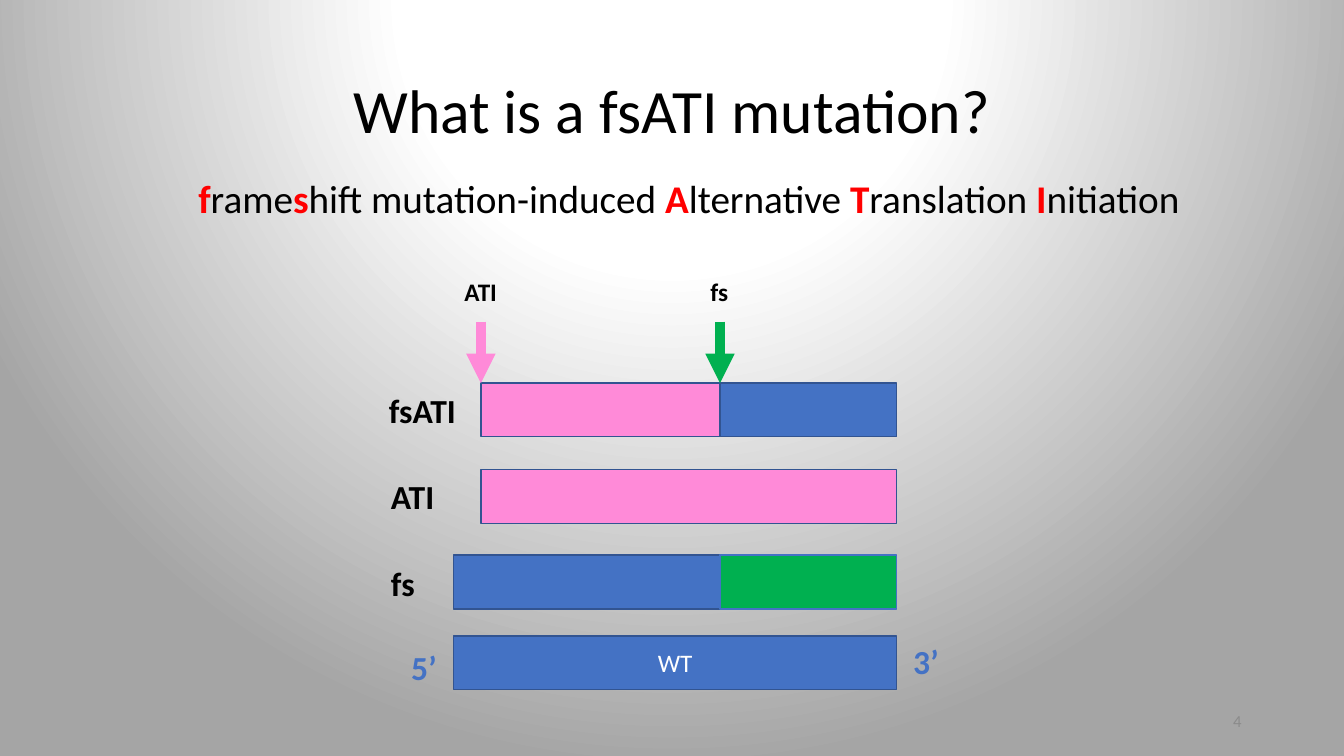
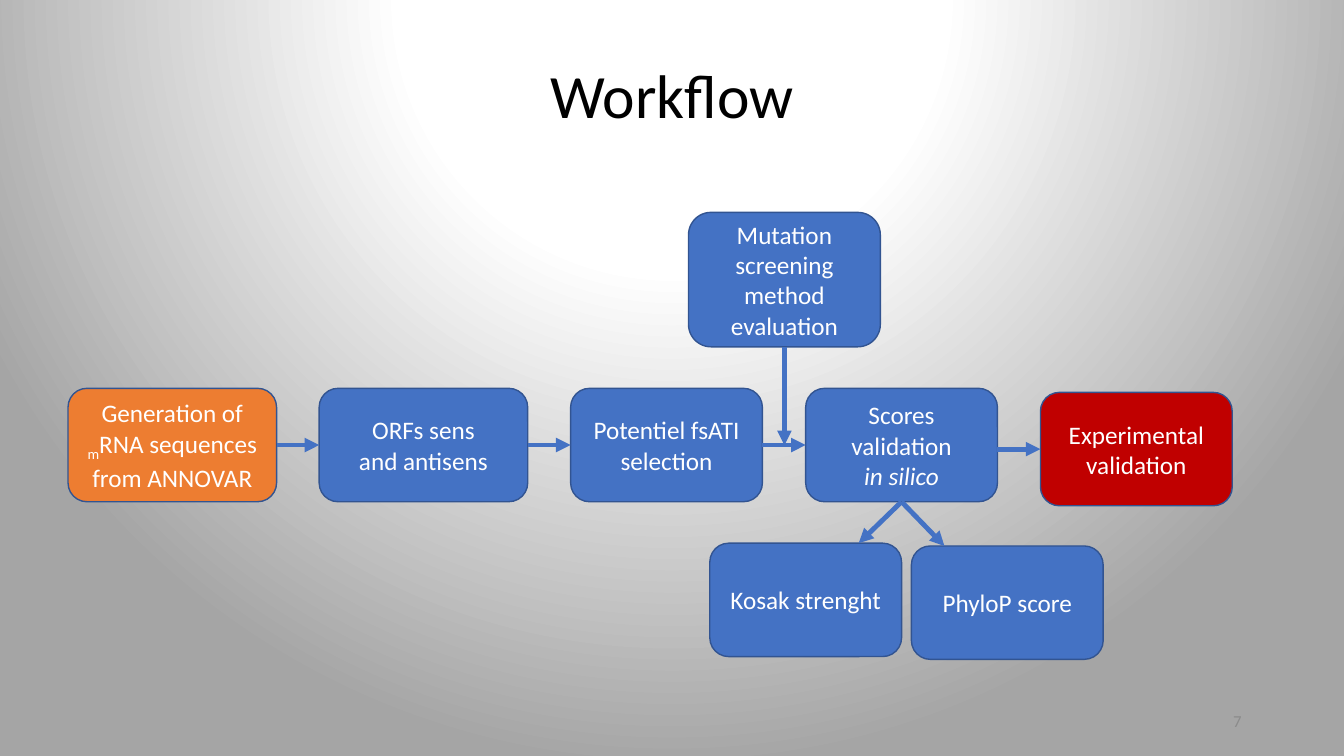
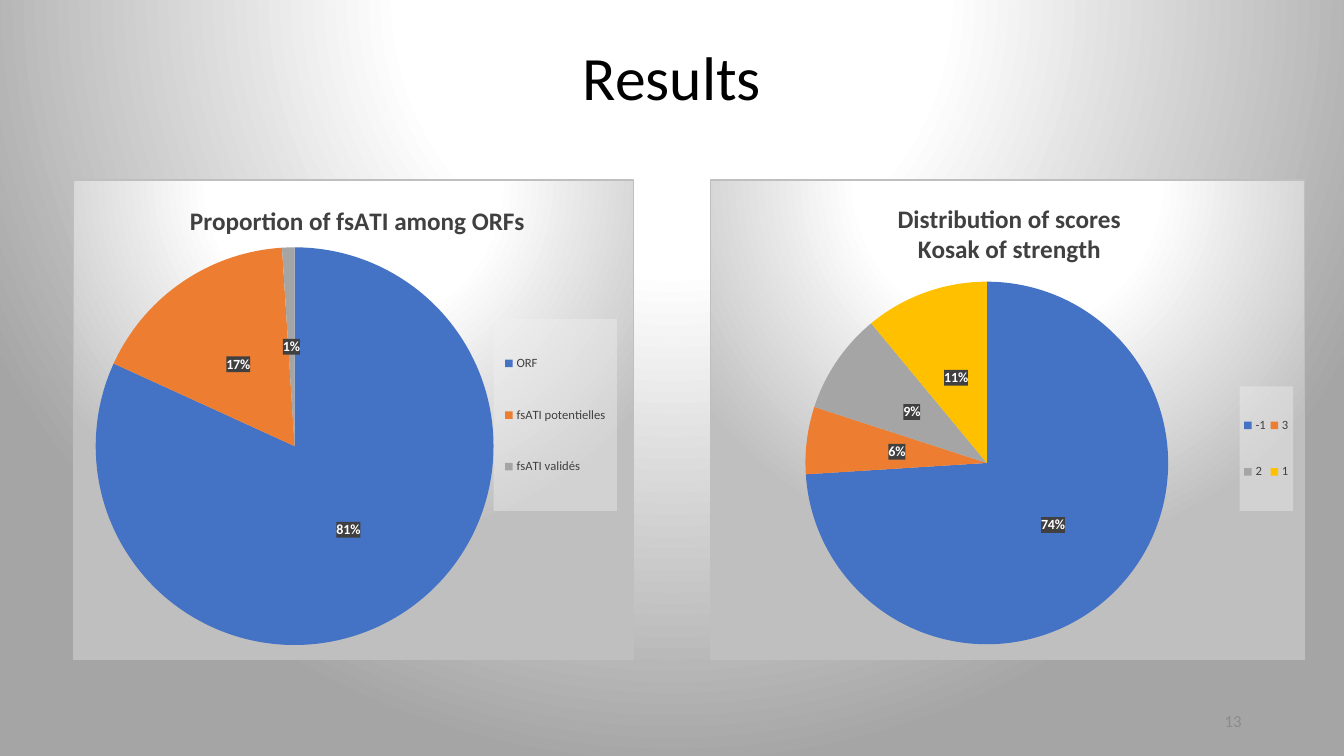
"""Build three slides on fsATI mutations: definition, workflow and results."""
from pptx import Presentation
from pptx.chart.data import CategoryChartData
from pptx.dml.color import RGBColor
from pptx.enum.chart import XL_CHART_TYPE, XL_LABEL_POSITION, XL_LEGEND_POSITION
from pptx.enum.shapes import MSO_CONNECTOR, MSO_SHAPE
from pptx.enum.text import MSO_ANCHOR, MSO_AUTO_SIZE, PP_ALIGN
from pptx.oxml import parse_xml
from pptx.oxml.ns import nsdecls, qn
from pptx.util import Pt

FONT = "Calibri"
BLACK = RGBColor(0x00, 0x00, 0x00)
WHITE = RGBColor(0xFF, 0xFF, 0xFF)
RED = RGBColor(0xFF, 0x00, 0x00)
DARK_RED = RGBColor(0xC0, 0x00, 0x00)
BLUE = RGBColor(0x44, 0x72, 0xC4)
NAVY = RGBColor(0x32, 0x54, 0x91)
PINK = RGBColor(0xFF, 0x8A, 0xD8)
GREEN = RGBColor(0x00, 0xB0, 0x50)
ORANGE = RGBColor(0xED, 0x7D, 0x31)
YELLOW = RGBColor(0xFF, 0xC0, 0x00)
GREY = RGBColor(0xA5, 0xA5, 0xA5)
PALE_GREY = RGBColor(0xF2, 0xF2, 0xF2)
SILVER = RGBColor(0xBF, 0xBF, 0xBF)
CHARCOAL = RGBColor(0x40, 0x40, 0x40)
NUMBER_GREY = RGBColor(0x8B, 0x8B, 0x8B)
SLICE_COLORS = (BLUE, ORANGE, GREY, YELLOW)


def points(*lengths):
    """Convert plain numbers to lengths in points."""
    return [Pt(length) for length in lengths]


def spotlight(white_until, edge):
    """Return a circular gradient from white to the edge colour."""
    return (
        f'<a:gradFill {nsdecls("a")} rotWithShape="1"><a:gsLst>'
        '<a:gs pos="0"><a:srgbClr val="FFFFFF"/></a:gs>'
        f'<a:gs pos="{white_until * 1000}"><a:srgbClr val="FFFFFF"/></a:gs>'
        f'<a:gs pos="100000"><a:srgbClr val="{edge}"/></a:gs></a:gsLst>'
        '<a:path path="circle">'
        '<a:fillToRect l="50000" t="-80000" r="50000" b="180000"/>'
        '</a:path></a:gradFill>'
    )


def set_background(master):
    """Give every slide the spotlight background."""
    master.background.fill.solid()
    properties = next(master.element.iter(qn("p:bgPr")))
    properties.replace(properties[0], parse_xml(spotlight(35, GREY)))


def style(paragraph, size, color, bold=False, align=None):
    """Set the font and alignment of a paragraph."""
    font = paragraph.font
    font.name, font.size, font.bold = FONT, Pt(size), bold
    font.color.rgb = color
    if align is not None:
        paragraph.alignment = align


def add_label(slide, text, left, top, width, height, size, color=BLACK, bold=True):
    """Add a one-line label and return its paragraph."""
    box = slide.shapes.add_textbox(*points(left, top, width, height))
    frame = box.text_frame
    frame.word_wrap = False
    frame.auto_size = MSO_AUTO_SIZE.SHAPE_TO_FIT_TEXT
    paragraph = frame.paragraphs[0]
    paragraph.text = text
    style(paragraph, size, color, bold)
    return paragraph


def add_titled_slide(deck, title, title_top, number):
    """Add a slide with its title and slide number."""
    slide = deck.slides.add_slide(deck.slide_layouts[5])
    heading = slide.shapes.title
    heading.left, heading.top, heading.width, heading.height = points(66, title_top, 828, 104.4)
    heading.text_frame.text = title
    heading.text_frame.vertical_anchor = MSO_ANCHOR.MIDDLE
    paragraph = heading.text_frame.paragraphs[0]
    style(paragraph, 44, BLACK, align=PP_ALIGN.CENTER)
    paragraph.line_spacing = 0.9
    footer = slide.shapes.add_textbox(*points(678, 500.5, 216, 28.8)).text_frame
    footer.word_wrap = True
    footer.vertical_anchor = MSO_ANCHOR.MIDDLE
    footer.text = str(number)
    style(footer.paragraphs[0], 12, NUMBER_GREY, align=PP_ALIGN.RIGHT)
    return slide


def add_block(slide, preset, left, top, width, height, fill, text="", outline=NAVY):
    """Add a filled, outlined block with centred white text."""
    block = slide.shapes.add_shape(preset, *points(left, top, width, height))
    block.shadow.inherit = False
    block.fill.solid()
    block.fill.fore_color.rgb = fill
    block.line.color.rgb = outline
    block.line.width = Pt(1)
    frame = block.text_frame
    frame.word_wrap = True
    frame.vertical_anchor = MSO_ANCHOR.MIDDLE
    frame.text = text
    for paragraph in frame.paragraphs:
        style(paragraph, 18, WHITE, align=PP_ALIGN.CENTER)
    return block


def add_arrow(slide, start, end, color=BLUE, width=3.5, source=None, target=None):
    """Add an arrow, joined to (shape, site) pairs where given."""
    arrow = slide.shapes.add_connector(MSO_CONNECTOR.STRAIGHT, *points(*start, *end))
    arrow.line.color.rgb = color
    arrow.line.width = Pt(width)
    if source:
        arrow.begin_connect(*source)
    if target:
        arrow.end_connect(*target)
    properties = arrow.element.spPr
    properties.find(qn("a:ln")).append(parse_xml(f'<a:tailEnd {nsdecls("a")} type="triangle"/>'))
    properties.append(parse_xml(f'<a:effectLst {nsdecls("a")}/>'))


def place(part, index, **fractions):
    """Fix a chart part at fractions of the chart area."""
    for layout in part.findall(qn("c:layout")):
        part.remove(layout)
    modes = "".join(f'<c:{axis}Mode val="edge"/>' for axis in "xy")
    values = "".join(f'<c:{key} val="{value}"/>' for key, value in fractions.items())
    target = '<c:layoutTarget val="inner"/>' if part.tag == qn("c:plotArea") else ""
    part.insert(index, parse_xml(
        f'<c:layout {nsdecls("c")}><c:manualLayout>{target}{modes}{values}'
        '</c:manualLayout></c:layout>'))


def tint(part, color, opacity):
    """Put a translucent fill behind a chart part."""
    part.find(qn("c:txPr")).addprevious(parse_xml(
        f'<c:spPr {nsdecls("c", "a")}><a:solidFill><a:srgbClr val="{color}">'
        f'<a:alpha val="{opacity * 1000}"/></a:srgbClr></a:solidFill></c:spPr>'))


def add_pie(slide, title, shares, left, width, title_at, pie_at, legend_at):
    """Add a pie of percentages on a spotlight panel."""
    data = CategoryChartData()
    data.categories = list(shares)
    data.add_series("Series 1", list(shares.values()))
    chart = slide.shapes.add_chart(
        XL_CHART_TYPE.PIE, *points(left, 128.2, width, 343.4), data).chart
    chart.font.name, chart.font.size = FONT, Pt(10)
    chart.font.color.rgb = BLACK

    chart.has_title = True
    chart.chart_title.text_frame.text = title
    for paragraph in chart.chart_title.text_frame.paragraphs:
        style(paragraph, 18, CHARCOAL, bold=True)

    chart.has_legend = True
    chart.legend.position = XL_LEGEND_POSITION.RIGHT
    chart.legend.include_in_layout = False
    chart.legend.font.name, chart.legend.font.size = FONT, Pt(9)
    chart.legend.font.color.rgb = CHARCOAL

    chart.plots[0].vary_by_categories = True
    series = chart.plots[0].series[0]
    for index, color in enumerate(SLICE_COLORS[:len(shares)]):
        fill = series.points[index].format.fill
        fill.solid()
        fill.fore_color.rgb = color
    labels = series.data_labels
    labels.show_value = True
    labels.number_format = '0"%"'
    labels.number_format_is_linked = False
    labels.position = XL_LABEL_POSITION.CENTER
    labels.font.name, labels.font.size, labels.font.bold = FONT, Pt(10), True
    labels.font.color.rgb = WHITE

    space = chart.element
    legend = next(space.iter(qn("c:legend")))
    place(next(space.iter(qn("c:title"))), 1, **title_at)
    place(next(space.iter(qn("c:plotArea"))), 0, **pie_at)
    place(legend, 1, **legend_at)
    tint(legend, PALE_GREY, 39)
    tint(next(space.iter(qn("c:dLbls"))), CHARCOAL, 90)
    space.find(qn("c:chart")).addnext(parse_xml(
        f'<c:spPr {nsdecls("c", "a")}>{spotlight(39, SILVER)}'
        f'<a:ln w="{Pt(0.75)}"><a:solidFill><a:srgbClr val="{SILVER}"/></a:solidFill></a:ln>'
        '</c:spPr>'))


def build_definition(deck):
    """Build the slide that defines the mutation."""
    slide = add_titled_slide(deck, "What is a fsATI mutation?", 29, 4)
    acronym = add_label(slide, "", 134.6, 121, 731.5, 41, 28, bold=False)
    for letter, rest in (("f", "rame"), ("s", "hift mutation-induced "), ("A", "lternative "),
                         ("T", "ranslation "), ("I", "nitiation")):
        initial = acronym.add_run()
        initial.text = letter
        initial.font.bold = True
        initial.font.color.rgb = RED
        acronym.add_run().text = rest

    start, ati, shift, end = 324, 343.5, 514.3, 640.5
    fsati_top, ati_top, fs_top, wt_top = 273.6, 335.4, 396.5, 454.2
    for left, right, top, fill, text, outline in (
            (start, shift, fs_top, BLUE, "", NAVY),
            (shift, end, fs_top, GREEN, "", BLUE),
            (ati, shift, fsati_top, PINK, "", NAVY),
            (shift, end, fsati_top, BLUE, "", NAVY),
            (ati, end, ati_top, PINK, "", NAVY),
            (start, end, wt_top, BLUE, "WT", NAVY)):
        add_block(slide, MSO_SHAPE.RECTANGLE, left, top, right - left, 38.4, fill, text, outline)
    for site, color in ((ati, PINK), (shift, GREEN)):
        add_arrow(slide, (site, 229.7), (site, fsati_top), color, 7)
    for text, left, width in (("ATI", 324.7, 38.2), ("fs", 500.4, 27.4)):
        add_label(slide, text, left, 193.7, width, 28.8, 18)
    for text, left, top, width, color in (
            ("fsATI", 270.7, 275, 62.6, BLACK), ("ATI", 272.2, 336.5, 45.4, BLACK),
            ("fs", 272.2, 398.9, 31.7, BLACK), ("5’", 286.6, 458.6, 33.1, BLUE),
            ("3’", 645.1, 454.3, 33.1, BLUE)):
        add_label(slide, text, left, top, width, 36, 24, color)


def build_workflow(deck):
    """Build the workflow diagram."""
    slide = add_titled_slide(deck, "Workflow", 18, 7)

    def add_step(text, left, top, width=137, height=81, fill=BLUE):
        return add_block(slide, MSO_SHAPE.ROUNDED_RECTANGLE, left, top, width, height, fill, text)

    row_top = 277.4
    generation = add_step("", 48.6, row_top, 149, fill=ORANGE)
    sequence = generation.text_frame.paragraphs[0]
    for part in ("Generation of ", "m", "RNA sequences from ANNOVAR"):
        sequence.add_run().text = part
    subscript = list(generation.element.iter(qn("a:r")))[1]
    subscript.get_or_add_rPr().set("baseline", "-25000")
    orfs = add_step("ORFs sens\nand antisens", 228, row_top, 149)
    selection = add_step("Potentiel fsATI selection", 407.6, row_top)
    scores = add_step("Scores validation\nin silico", 575.5, row_top)
    scores.text_frame.paragraphs[1].font.italic = True
    experiment = add_step("Experimental validation", 743.2, 280.3, fill=DARK_RED)
    screening = add_step("Mutation screening method evaluation", 491.8, 151.7, height=96)
    add_step("Kosak strenght", 507, 388)
    add_step("PhyloP score", 651, 390)

    origin = (0, 0)
    chain = (generation, orfs, selection, scores)
    for before, after in zip(chain, chain[1:]):
        add_arrow(slide, origin, origin, source=(before, 3), target=(after, 1))
    add_arrow(slide, (712.5, 320.8), origin, target=(experiment, 1))
    for source, end in ((scores, (613.4, 388)), (scores, (674.6, 390)), (screening, (560.3, 318))):
        add_arrow(slide, origin, end, source=(source, 2))


def build_results(deck):
    """Build the slide with both pie charts."""
    slide = add_titled_slide(deck, "Results", 5, 13)
    add_pie(slide, "Proportion of fsATI among ORFs",
            {"ORF": 81, "fsATI potentielles": 17, "fsATI validés": 1}, 52, 401,
            {"x": 0.2, "y": 0.04}, {"x": 0.04, "y": 0.14, "w": 0.71, "h": 0.83},
            {"x": 0.75, "y": 0.29, "w": 0.22, "h": 0.4})
    add_pie(slide, "Distribution of scores\nKosak of strength",
            {"-1": 74, "3": 6, "2": 9, "1": 11}, 507, 425.5,
            {"x": 0.31, "y": 0.04}, {"x": 0.16, "y": 0.21, "w": 0.61, "h": 0.76},
            {"x": 0.89, "y": 0.43, "w": 0.09, "h": 0.26})


def main():
    """Build and save the deck."""
    deck = Presentation()
    deck.slide_width, deck.slide_height = points(960, 540)
    set_background(deck.slide_master)
    build_definition(deck)
    build_workflow(deck)
    build_results(deck)
    deck.save("out.pptx")


if __name__ == "__main__":
    main()
